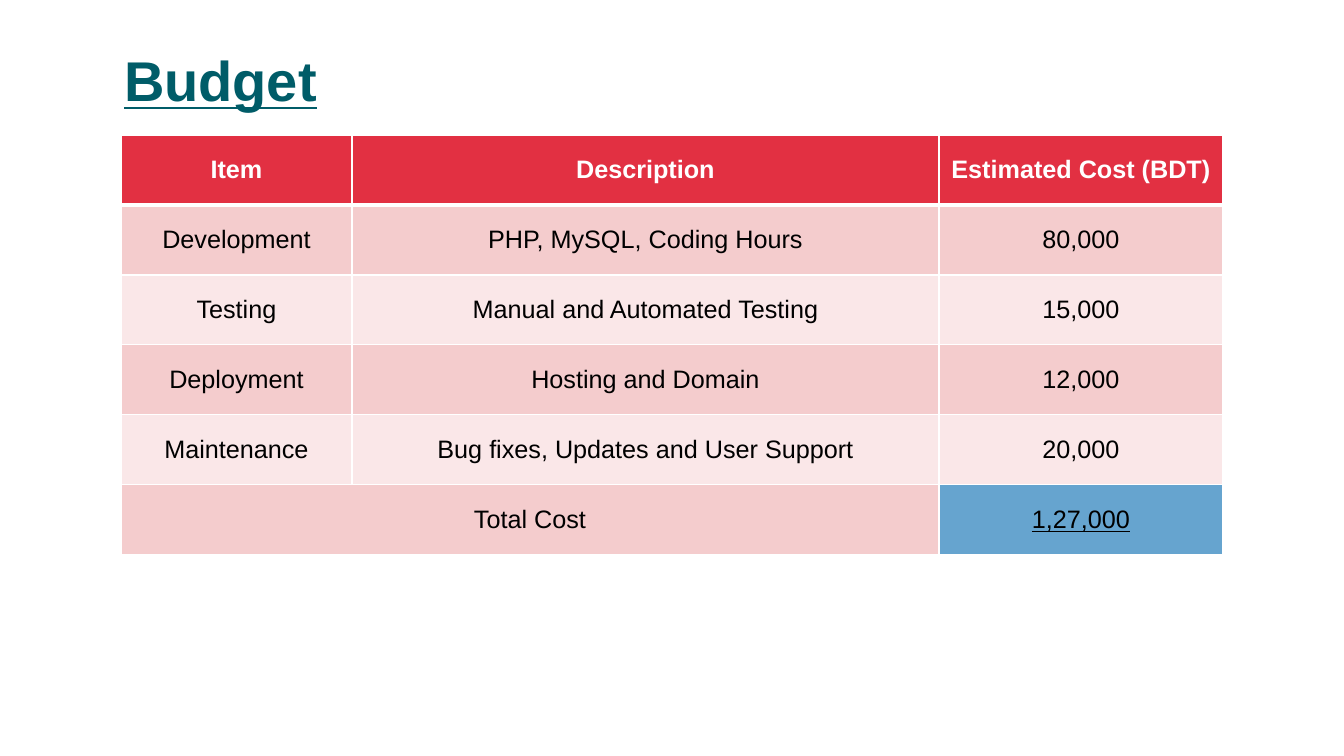
from lxml import etree
from pptx import Presentation
from pptx.dml.color import RGBColor
from pptx.enum.text import MSO_ANCHOR, PP_ALIGN
from pptx.oxml.ns import qn
from pptx.util import Pt

CENTER = PP_ALIGN.CENTER
MIDDLE = MSO_ANCHOR.MIDDLE
BOTTOM = MSO_ANCHOR.BOTTOM

FONT = "Arial"
WHITE, BLACK, TEAL = "FFFFFF", "000000", "005C68"
RED, ROSE, BLUSH, BLUE = "E23042", "F4CCCD", "FAE7E8", "66A4CF"

COLS = [231, 587, 284]
ROW = 70
ROWS = [
    ["Item", "Description", "Estimated Cost (BDT)"],
    ["Development", "PHP, MySQL, Coding Hours", "80,000"],
    ["Testing", "Manual and Automated Testing", "15,000"],
    ["Deployment", "Hosting and Domain", "12,000"],
    ["Maintenance", "Bug fixes, Updates and User Support", "20,000"],
    ["Total Cost", "", "1,27,000"],
]


def px(n):
    return round(n * 914400 / 100.8)


def color(code):
    return RGBColor.from_string(code)


def write(frame, text, size, ink, bold=False, line=False):
    frame.text = text
    para = frame.paragraphs[0]
    para.alignment = CENTER
    for run in para.runs:
        font = run.font
        font.name, font.size = FONT, Pt(size)
        font.bold, font.underline = bold, line
        font.color.rgb = color(ink)
    return para


def add_title(slide, text):
    box = slide.shapes.add_textbox(px(102), px(45), px(237), px(74))
    frame = box.text_frame
    frame.word_wrap = True
    frame.vertical_anchor = BOTTOM
    write(frame, text, 40, TEAL, True, True).line_spacing = 0.9


def set_edges(cell, base):
    """Draw white cell borders, with the given width at the bottom."""
    props = cell._tc.get_or_add_tcPr()
    widths = {"lnL": 1, "lnR": 1, "lnT": 1, "lnB": base}
    for spot, (side, width) in enumerate(widths.items()):
        edge = etree.Element(qn("a:" + side), w=str(Pt(width)))
        fill = etree.SubElement(edge, qn("a:solidFill"))
        etree.SubElement(fill, qn("a:srgbClr"), val=WHITE)
        props.insert(spot, edge)


def style_cell(cell, text, fill, head, total):
    cell.vertical_anchor = MIDDLE
    cell.fill.solid()
    cell.fill.fore_color.rgb = color(fill)
    set_edges(cell, 3 if head else 1)
    write(cell.text_frame, text, 18, WHITE if head else BLACK, head, total)


def add_budget(slide):
    frame = slide.shapes.add_table(len(ROWS), len(COLS), px(121), px(135),
                                   px(sum(COLS)), px(ROW * len(ROWS)))
    table = frame.table
    for col, width in zip(table.columns, COLS):
        col.width = px(width)
    last = len(ROWS) - 1
    for r, texts in enumerate(ROWS):
        table.rows[r].height = px(ROW)
        band = RED if r == 0 else ROSE if r % 2 else BLUSH
        for c, text in enumerate(texts):
            total = (r, c) == (last, 2)
            style_cell(table.cell(r, c), text, BLUE if total else band,
                       r == 0, total)
    table.cell(last, 0).merge(table.cell(last, 1))


def main():
    deck = Presentation()
    deck.slide_width, deck.slide_height = px(1344), px(756)
    slide = deck.slides.add_slide(deck.slide_layouts[6])
    # Heading
    add_title(slide, "Budget")
    # Cost table
    add_budget(slide)
    deck.save("out.pptx")


if __name__ == "__main__":
    main()
